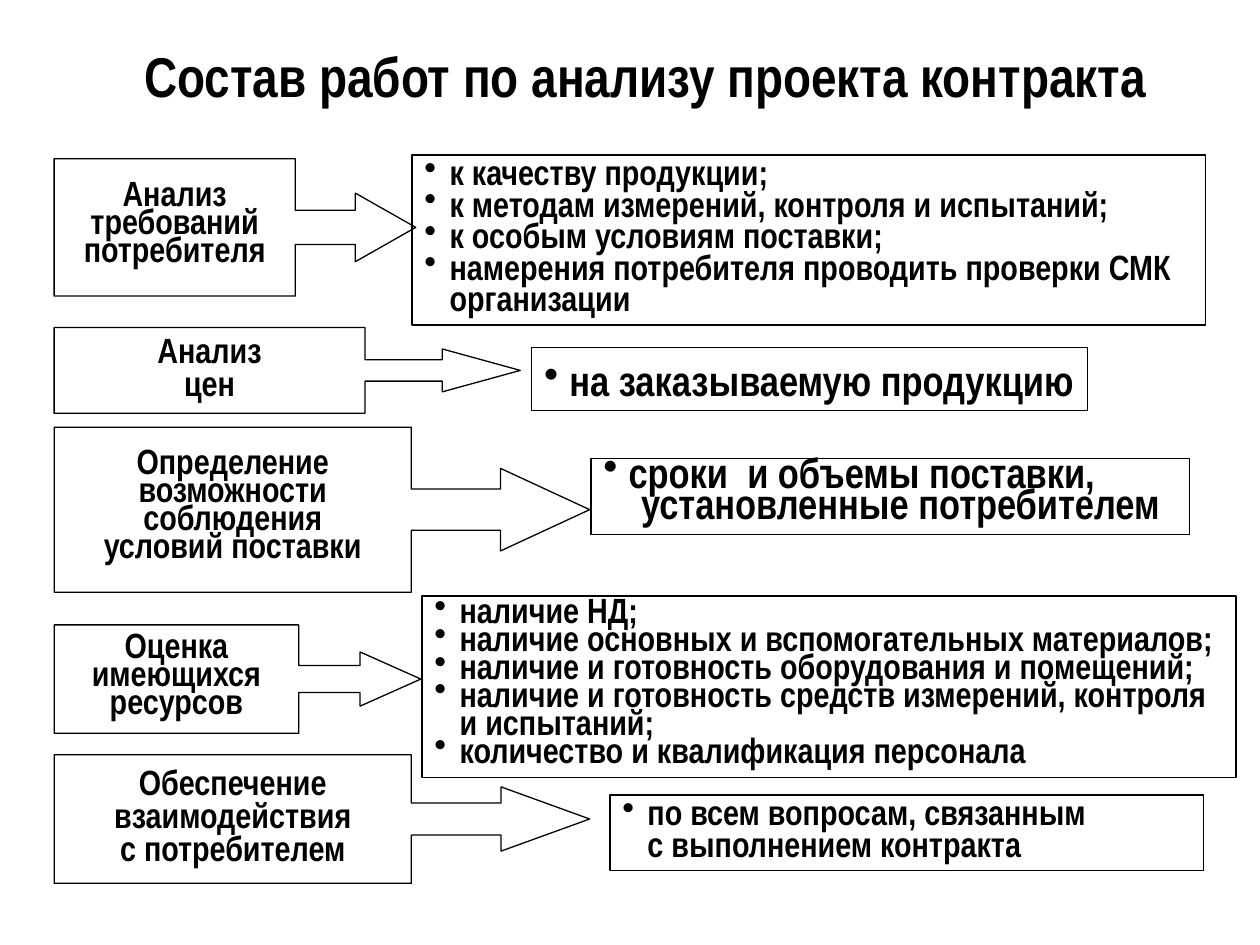
from lxml import etree
from pptx import Presentation
from pptx.dml.color import RGBColor
from pptx.enum.shapes import MSO_SHAPE
from pptx.enum.text import MSO_ANCHOR, PP_ALIGN
from pptx.oxml.ns import qn
from pptx.util import Inches, Pt

CALLOUT, RECT = MSO_SHAPE.RIGHT_ARROW_CALLOUT, MSO_SHAPE.RECTANGLE
MIDDLE = MSO_ANCHOR.MIDDLE
CENTER, LEFT = PP_ALIGN.CENTER, PP_ALIGN.LEFT

THEME = {
    "font": "Arial Narrow",
    "ink": RGBColor(0, 0, 0),
    "title": 32,
    "large": 24,
    "body": 20,
    "line": 0.75,
}

TITLE = "Состав работ по анализу проекта контракта"
EDGE = 0.43

STEPS = [
    {"top": 1.26, "width": 2.87, "height": 1.09, "head": 0.44, "lead": 16,
     "lines": ["Анализ", "требований", "потребителя"]},
    {"top": 2.6, "width": 3.7, "height": 0.68, "head": 0.91, "lead": 19,
     "lines": ["Анализ", "цен"]},
    {"top": 3.39, "width": 4.25, "height": 1.31, "head": 0.54, "lead": 16,
     "lines": ["Определение", "возможности", "соблюдения", "условий поставки"]},
    {"top": 4.96, "width": 2.91, "height": 0.86, "head": 0.56, "lead": 16,
     "lines": ["Оценка", "имеющихся", "ресурсов"]},
    {"top": 5.99, "width": 4.25, "height": 1.02, "head": 0.69, "lead": 19,
     "lines": ["Обеспечение взаимодействия", "с потребителем"]},
]

# A pair holds a line without a bullet and its left indent.
NOTES = [
    {"at": (3.27, 1.23, 6.3, 1.35), "size": "body", "lead": 18, "lines": [
        "к качеству продукции;",
        "к методам измерений, контроля и испытаний;",
        "к особым условиям поставки;",
        "намерения потребителя проводить проверки СМК организации"]},
    {"at": (4.22, 2.76, 4.41, 0.5), "size": "large", "lead": None, "lines": [
        "на заказываемую продукцию"]},
    {"at": (4.69, 3.64, 4.75, 0.6), "size": "large", "lead": 18, "lines": [
        "сроки  и объемы поставки,",
        ("установленные потребителем", 0.3)]},
    {"at": (3.35, 4.73, 6.46, 1.44), "size": "body", "lead": 16, "lines": [
        "наличие НД;",
        "наличие основных и вспомогательных материалов;",
        "наличие и готовность оборудования и помещений;",
        "наличие и готовность средств измерений, контроля",
        ("и испытаний;", 0.2),
        "количество и квалификация персонала"]},
    {"at": (4.84, 6.31, 4.71, 0.6), "size": "body", "lead": 18, "lines": [
        "по всем вопросам, связанным",
        ("с выполнением контракта", 0.2)]},
]


def indent(para, left, bullet):
    props = para._p.get_or_add_pPr()
    props.set("marL", str(Inches(left)))
    props.set("indent", str(-Inches(left) if bullet else 0))
    if bullet:
        etree.SubElement(props, qn("a:buChar")).set("char", "•")


def write(shape, lines, size, align, lead=None, wrap=True, bullets=False):
    frame = shape.text_frame
    frame.word_wrap = wrap
    frame.vertical_anchor = MIDDLE
    for i, line in enumerate(lines):
        para = frame.paragraphs[0] if i == 0 else frame.add_paragraph()
        plain = isinstance(line, tuple)
        para.text, left = line if plain else (line, 0.2)
        if bullets:
            indent(para, left, not plain)
        para.alignment = align
        if lead:
            para.line_spacing = Pt(lead)
        for run in para.runs:
            run.font.name = THEME["font"]
            run.font.size = Pt(THEME[size])
            run.font.bold = True
            run.font.color.rgb = THEME["ink"]


def outline(slide, kind, box):
    shape = slide.shapes.add_shape(kind, *map(Inches, box))
    shape.shadow.inherit = False
    shape.fill.background()
    shape.line.color.rgb = THEME["ink"]
    shape.line.width = Pt(THEME["line"])
    return shape


def main():
    deck = Presentation()
    deck.slide_width, deck.slide_height = Inches(10), Inches(7.5)
    slide = deck.slides.add_slide(deck.slide_layouts[6])

    for step in STEPS:
        box = (EDGE, step["top"], step["width"], step["height"])
        shape = outline(slide, CALLOUT, box)
        for i, ratio in enumerate((0.25, 0.25, step["head"], 0.667)):
            shape.adjustments[i] = ratio
        write(shape, step["lines"], "body", CENTER, step["lead"])

    for note in NOTES:
        lines = note["lines"]
        shape = outline(slide, RECT, note["at"])
        write(shape, lines, note["size"], LEFT, note["lead"],
              wrap=len(lines) > 1, bullets=True)

    head = slide.shapes.add_textbox(*map(Inches, (0.51, 0.28, 9.23, 0.63)))
    write(head, [TITLE], "title", CENTER)
    deck.save("out.pptx")


if __name__ == "__main__":
    main()
